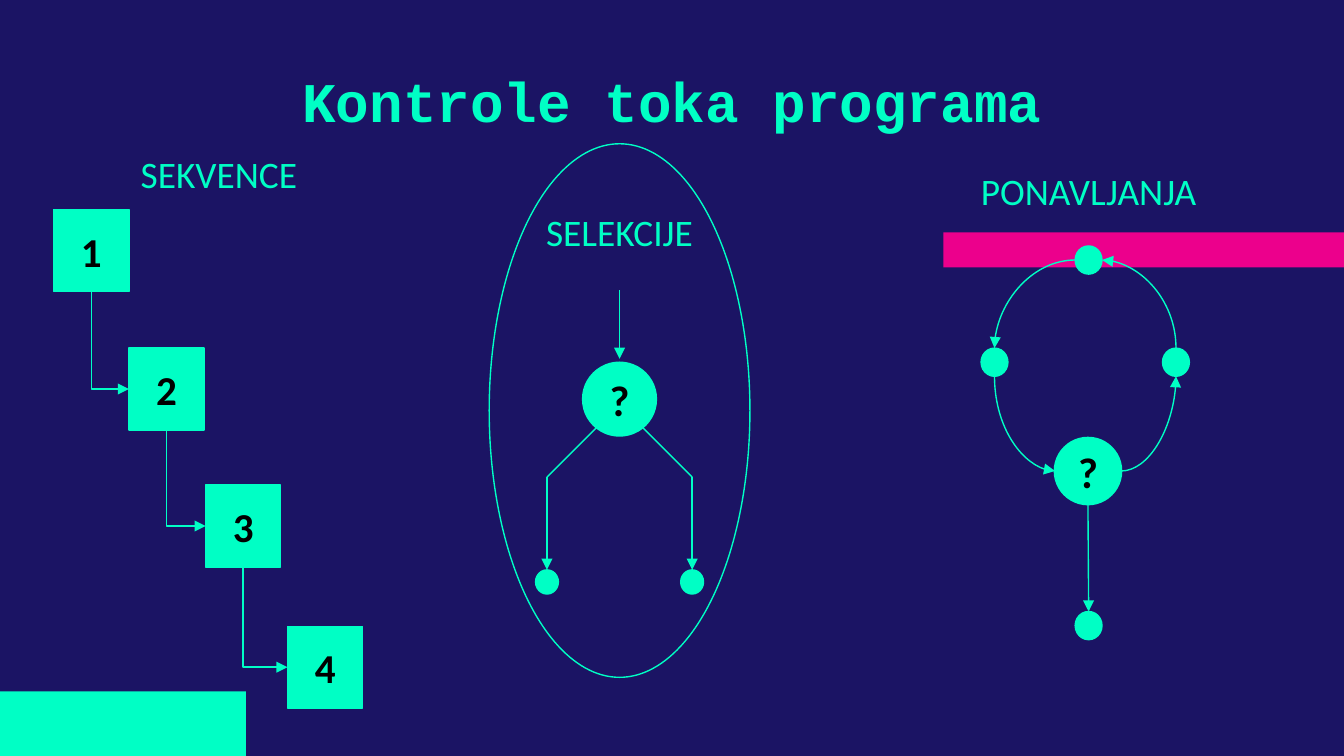
from lxml.etree import SubElement
from pptx import Presentation
from pptx.dml.color import RGBColor
from pptx.enum.shapes import MSO_CONNECTOR, MSO_SHAPE
from pptx.enum.text import MSO_ANCHOR, PP_ALIGN
from pptx.oxml.ns import qn
from pptx.util import Inches, Pt

COLORS = {"navy": "1B1464", "mint": "00FFC5", "pink": "EC008C", "black": "000000"}
TOP, LEFT, BOTTOM, RIGHT = range(4)
WIDTH = 10
HEIGHT = WIDTH * 9 / 16

# Content: places are left, top, width, height in inches
TITLE = ("Kontrole toka programa", (1.4, 0.38, 7.2, 0.73))
BARS = [("pink", (7.02, 1.73, 2.98, 0.26)), ("mint", (0, HEIGHT - 0.48, 1.83, 0.48))]
HEADINGS = [("SEKVENCE", 0.68, 1.02), ("SELEKCIJE", 3.66, 1.45), ("PONAVLJANJA", 7.15, 1.15)]
STEPS = [("1", 0.4, 1.56), ("2", 0.96, 2.59), ("3", 1.53, 3.61), ("4", 2.14, 4.66)]
LOOP_NODES = {
    "left": (7.3, 2.59),
    "start": (8, 1.83),
    "exit": (8, 4.55),
    "right": (8.65, 2.59),
}
# Curves leave the first node sideways; the arrow sits at "head" (first) or "tail" (second)
LOOP_CURVES = [
    ("start", LEFT, "left", TOP, "tail"),
    ("question", LEFT, "left", BOTTOM, "head"),
    ("question", RIGHT, "right", BOTTOM, "tail"),
    ("start", RIGHT, "right", TOP, "head"),
]

deck = Presentation()
deck.slide_width, deck.slide_height = Inches(WIDTH), Inches(HEIGHT)
page = deck.slides.add_slide(deck.slide_layouts[5])


def color(name):
    return RGBColor.from_string(COLORS[name])


def write(shape, text, size, ink, bold=False, font="Calibri", inset=0.1):
    frame = shape.text_frame
    frame.word_wrap = inset > 0
    frame.vertical_anchor = MSO_ANCHOR.MIDDLE
    for side in ("left", "top", "right", "bottom"):
        setattr(frame, f"margin_{side}", Inches(inset))
    para = frame.paragraphs[0]
    para.alignment = PP_ALIGN.CENTER
    span = para.add_run()
    span.text = text
    for name, value in {"name": font, "size": Pt(size), "bold": bold}.items():
        setattr(span.font, name, value)
    span.font.color.rgb = color(ink)


def add_box(kind, place, fill=None, line=0.75):
    box = page.shapes.add_shape(kind, *map(Inches, place))
    box.shadow.inherit = False
    if fill:
        box.fill.solid()
        box.fill.fore_color.rgb = color(fill)
    else:
        box.fill.background()
    if line:
        box.line.color.rgb = color("mint")
        box.line.width = Pt(line)
    else:
        box.line.fill.background()
    return box


def add_line(start, end, arrow=None, kind=MSO_CONNECTOR.STRAIGHT, preset=None):
    line = page.shapes.add_connector(kind, *start, *end)
    line.line.color.rgb = color("mint")
    line.line.width = Pt(0.75)
    properties = line._element.spPr
    if arrow:
        SubElement(properties.find(qn("a:ln")), qn(f"a:{arrow}End"), type="triangle")
    SubElement(properties, qn("a:effectLst"))
    if preset:
        properties.find(qn("a:prstGeom")).set("prst", preset)
    return line


def middle(box, side):
    """Middle of one side of a shape."""
    across = {LEFT: 0, RIGHT: 2}.get(side, 1)
    down = {TOP: 0, BOTTOM: 2}.get(side, 1)
    return box.left + box.width * across // 2, box.top + box.height * down // 2


def join_circles(line, *ends):
    """An ellipse has eight connection sites, so each side counts double."""
    holder = line._element.find(".//" + qn("p:cNvCxnSpPr"))
    for tag, (circle, side) in zip(("a:stCxn", "a:endCxn"), ends):
        SubElement(holder, qn(tag), id=str(circle.shape_id), idx=str(side * 2))


def point(x, y):
    return Inches(x), Inches(y)


# Background, bars and title
page.background.fill.solid()
page.background.fill.fore_color.rgb = color("navy")
for fill, place in BARS:
    add_box(MSO_SHAPE.RECTANGLE, place, fill, line=None)
title = page.shapes.title
title.left, title.top, title.width, title.height = map(Inches, TITLE[1])
write(title, TITLE[0], 30, "mint", True, "Courier New")

# Section headings
for text, left, top in HEADINGS:
    write(page.shapes.add_textbox(*map(Inches, (left, top, 1.9, 0.54))), text, 20, "mint")

# Sequence: numbered steps joined by elbows
steps = []
for text, left, top in STEPS:
    step = add_box(MSO_SHAPE.RECTANGLE, (left, top, 0.56, 0.61), "mint")
    write(step, text, 22, "black", True)
    steps.append(step)
for step, following in zip(steps, steps[1:]):
    elbow = add_line(middle(following, LEFT), middle(step, BOTTOM), "head",
                     MSO_CONNECTOR.ELBOW, "bentConnector2")
    elbow.begin_connect(following, LEFT)
    elbow.end_connect(step, BOTTOM)

# Selection: a question with two mirrored branches inside a ring
add_box(MSO_SHAPE.OVAL, (3.64, 1.07, 1.94, 3.97))
question = add_box(MSO_SHAPE.OVAL, (4.33, 2.69, 0.56, 0.56), "mint", line=None)
write(question, "?", 23, "black", True, inset=0)
axis = 4.61
add_line(point(axis, 2.16), point(axis, 2.67), "tail")
for sign in (-1, 1):
    branch = axis + sign * 0.54
    add_box(MSO_SHAPE.OVAL, (branch - 0.17 / 2, 4.24, 0.17, 0.18), "mint")
    add_line(point(axis + sign * 0.14, 3.15), point(branch, 3.55))
    add_line(point(branch, 3.55), point(branch, 4.24), "tail")

# Repetition: nodes on a loop with an exit
nodes = {name: add_box(MSO_SHAPE.OVAL, (*place, 0.2, 0.21), "mint")
         for name, place in LOOP_NODES.items()}
nodes["question"] = add_box(MSO_SHAPE.OVAL, (7.85, 3.26, 0.49, 0.49), "mint", line=1.5)
write(nodes["question"], "?", 23, "black", True, inset=0)
for first, first_side, second, second_side, arrow in LOOP_CURVES:
    ends = (nodes[first], first_side), (nodes[second], second_side)
    curve = add_line(middle(*ends[0]), middle(*ends[1]), arrow,
                     MSO_CONNECTOR.CURVE, "curvedConnector2")
    join_circles(curve, *ends)
ends = (nodes["question"], BOTTOM), (nodes["exit"], TOP)
join_circles(add_line(middle(*ends[0]), middle(*ends[1]), "tail"), *ends)

deck.save("out.pptx")
